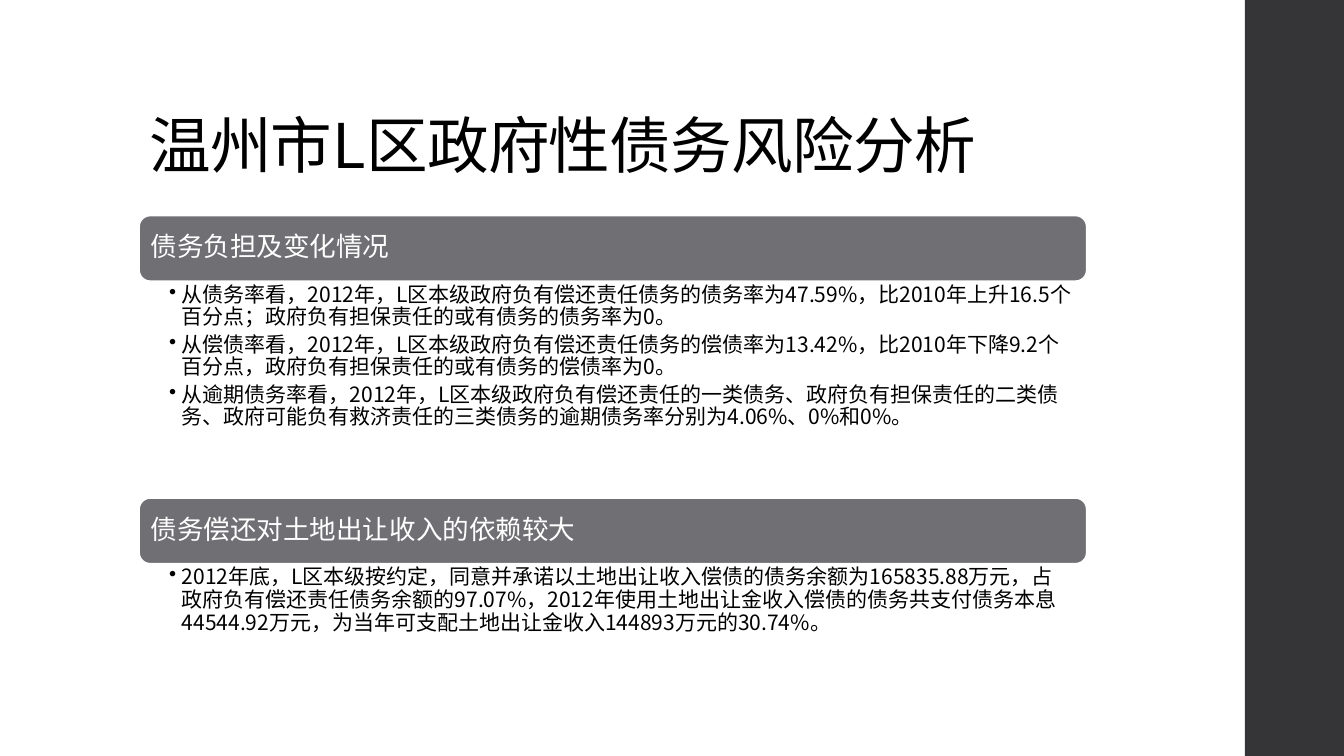
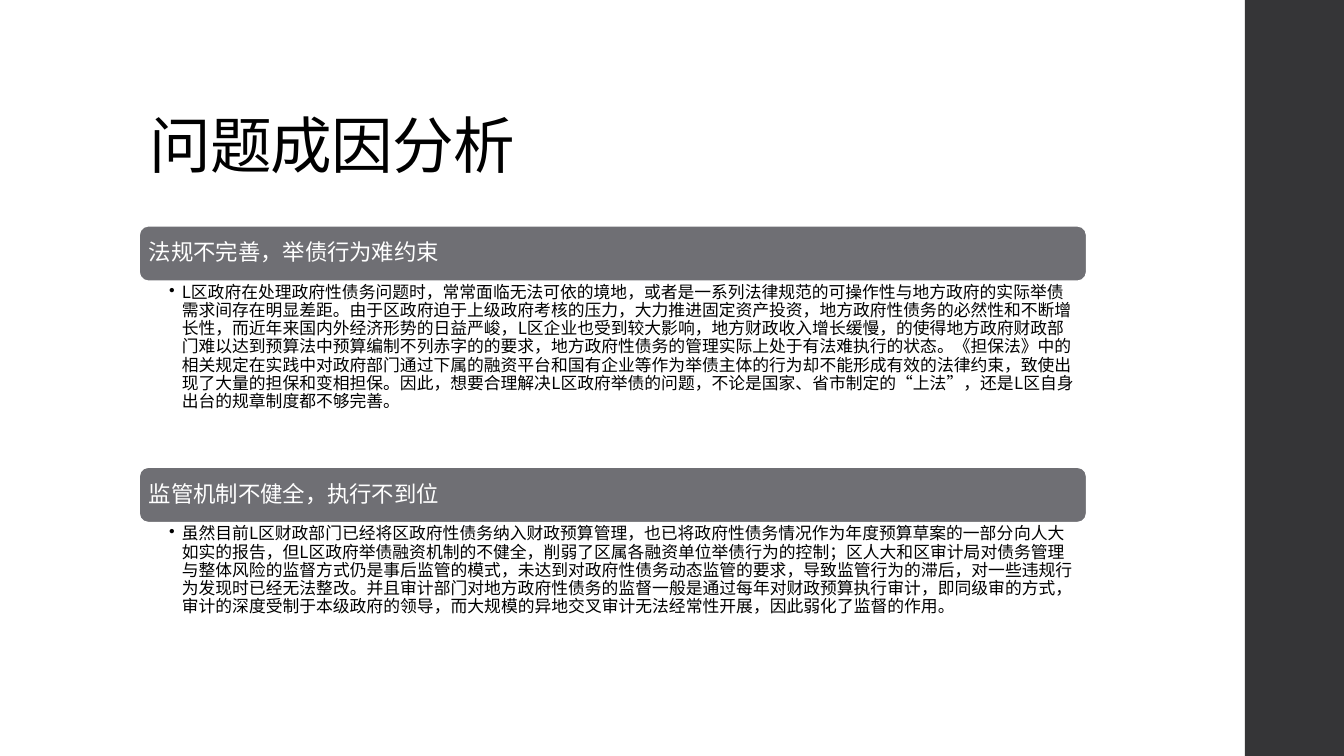
from lxml.etree import SubElement
from pptx import Presentation
from pptx.dml.color import RGBColor
from pptx.enum.shapes import MSO_SHAPE
from pptx.enum.text import MSO_ANCHOR, PP_ALIGN
from pptx.oxml.ns import qn
from pptx.util import Pt

# Shared look
BLACK = RGBColor(0x00, 0x00, 0x00)
WHITE = RGBColor(0xFF, 0xFF, 0xFF)
BAND = RGBColor(0x6F, 0x6F, 0x74)
SIDEBAR = RGBColor(0x35, 0x35, 0x37)
FONT = "Noto Sans CJK SC"
SLIDE_W, SLIDE_H = 960, 540
LEFT, WIDTH = 99.4, 676.8
LINE_SPACING = 0.9
BULLET_INDENT = 9

SLIDES = [
    {
        "title": "温州市L区政府性债务风险分析",
        "top": 154, "band_h": 46.8, "heading_size": 19, "body_size": 15,
        "pad": 6, "body_right": 10.8,
        "sections": [
            ("债务负担及变化情况", 155, [
                "从债务率看，2012年，L区本级政府负有偿还责任债务的债务率为47.59%，比2010年上升16.5个百分点；政府负有担保责任的或有债务的债务率为0。",
                "从偿债率看，2012年，L区本级政府负有偿还责任债务的偿债率为13.42%，比2010年下降9.2个百分点，政府负有担保责任的或有债务的偿债率为0。",
                "从逾期债务率看，2012年，L区本级政府负有偿还责任的一类债务、政府负有担保责任的二类债务、政府可能负有救济责任的三类债务的逾期债务率分别为4.06%、0%和0%。",
            ]),
            ("债务偿还对土地出让收入的依赖较大", 74, [
                "2012年底，L区本级按约定，同意并承诺以土地出让收入偿债的债务余额为165835.88万元，占政府负有偿还责任债务余额的97.07%，2012年使用土地出让金收入偿债的债务共支付债务本息44544.92万元，为当年可支配土地出让金收入144893万元的30.74%。",
            ]),
        ],
    },
    {
        "title": "问题成因分析",
        "top": 161.3, "band_h": 39.6, "heading_size": 16, "body_size": 12,
        "pad": 5, "body_right": 8.6,
        "sections": [
            ("法规不完善，举债行为难约束", 132.8, [
                "L区政府在处理政府性债务问题时，常常面临无法可依的境地，或者是一系列法律规范的可操作性与地方政府的实际举债需求间存在明显差距。由于区政府迫于上级政府考核的压力，大力推进固定资产投资，地方政府性债务的必然性和不断增长性，而近年来国内外经济形势的日益严峻，L区企业也受到较大影响，地方财政收入增长缓慢，的使得地方政府财政部门难以达到预算法中预算编制不列赤字的的要求，地方政府性债务的管理实际上处于有法难执行的状态。《担保法》中的相关规定在实践中对政府部门通过下属的融资平台和国有企业等作为举债主体的行为却不能形成有效的法律约束，致使出现了大量的担保和变相担保。因此，想要合理解决L区政府举债的问题，不论是国家、省市制定的“上法”，还是L区自身出台的规章制度都不够完善。",
            ]),
            ("监管机制不健全，执行不到位", 96.5, [
                "虽然目前L区财政部门已经将区政府性债务纳入财政预算管理，也已将政府性债务情况作为年度预算草案的一部分向人大如实的报告，但L区政府举债融资机制的不健全，削弱了区属各融资单位举债行为的控制；区人大和区审计局对债务管理与整体风险的监督方式仍是事后监管的模式，未达到对政府性债务动态监管的要求，导致监管行为的滞后，对一些违规行为发现时已经无法整改。并且审计部门对地方政府性债务的监督一般是通过每年对财政预算执行审计，即同级审的方式，审计的深度受制于本级政府的领导，而大规模的异地交叉审计无法经常性开展，因此弱化了监督的作用。",
            ]),
        ],
    },
]


def set_frame(tf, anchor, left, top, right, bottom):
    tf.word_wrap = True
    tf.vertical_anchor = anchor
    tf.margin_left, tf.margin_top = Pt(left), Pt(top)
    tf.margin_right, tf.margin_bottom = Pt(right), Pt(bottom)


def add_run(p, text, size, color):
    p.line_spacing = LINE_SPACING
    r = p.add_run()
    r.text = text
    r.font.size = Pt(size)
    r.font.name = FONT
    r.font.color.rgb = color
    SubElement(r.font._element, qn("a:ea")).set("typeface", FONT)
    return r


def add_bullet(p):
    pPr = p._p.get_or_add_pPr()
    pPr.set("marL", str(Pt(BULLET_INDENT)))
    pPr.set("indent", str(-Pt(BULLET_INDENT)))
    SubElement(pPr, qn("a:buChar")).set("char", "•")


def add_box(s, kind, left, top, width, height, fill):
    sp = s.shapes.add_shape(kind, Pt(left), Pt(top), Pt(width), Pt(height))
    sp.shadow.inherit = False
    sp.fill.solid()
    sp.fill.fore_color.rgb = fill
    sp.line.fill.background()
    return sp


def add_frame(s, title):
    # Side band and title
    add_box(s, MSO_SHAPE.RECTANGLE, 889.2, 0, 72, SLIDE_H, SIDEBAR)
    sp = s.shapes.add_textbox(Pt(LEFT), Pt(28.8), Pt(763), Pt(104.4))
    set_frame(sp.text_frame, MSO_ANCHOR.BOTTOM, 7.2, 3.6, 7.2, 3.6)
    r = add_run(sp.text_frame.paragraphs[0], title, 44, BLACK)
    r.font._element.set("spc", "-50")


def add_section(s, top, heading, body_h, points, style):
    # Heading band
    band_h, pad = style["band_h"], style["pad"]
    sp = add_box(s, MSO_SHAPE.ROUNDED_RECTANGLE, LEFT, top, WIDTH, band_h, BAND)
    sp.line.color.rgb = WHITE
    sp.line.width = Pt(1.1)
    set_frame(sp.text_frame, MSO_ANCHOR.MIDDLE, pad, 0, pad, 0)
    p = sp.text_frame.paragraphs[0]
    p.alignment = PP_ALIGN.LEFT
    add_run(p, heading, style["heading_size"], WHITE)

    # Bulleted body
    sp = s.shapes.add_textbox(Pt(LEFT), Pt(top + band_h), Pt(WIDTH), Pt(body_h))
    tf = sp.text_frame
    set_frame(tf, MSO_ANCHOR.TOP, 21.5, 2, style["body_right"], 2)
    for i, text in enumerate(points):
        p = tf.add_paragraph() if i else tf.paragraphs[0]
        add_bullet(p)
        p.space_after = Pt(3.3)
        add_run(p, text, style["body_size"], BLACK)
    return top + band_h + body_h


def add_section_slide(prs, content):
    s = prs.slides.add_slide(prs.slide_layouts[6])
    add_frame(s, content["title"])
    top = content["top"]
    for heading, body_h, points in content["sections"]:
        top = add_section(s, top, heading, body_h, points, content)


def main():
    prs = Presentation()
    prs.slide_width, prs.slide_height = Pt(SLIDE_W), Pt(SLIDE_H)
    for content in SLIDES:
        add_section_slide(prs, content)
    prs.save("out.pptx")


if __name__ == "__main__":
    main()
